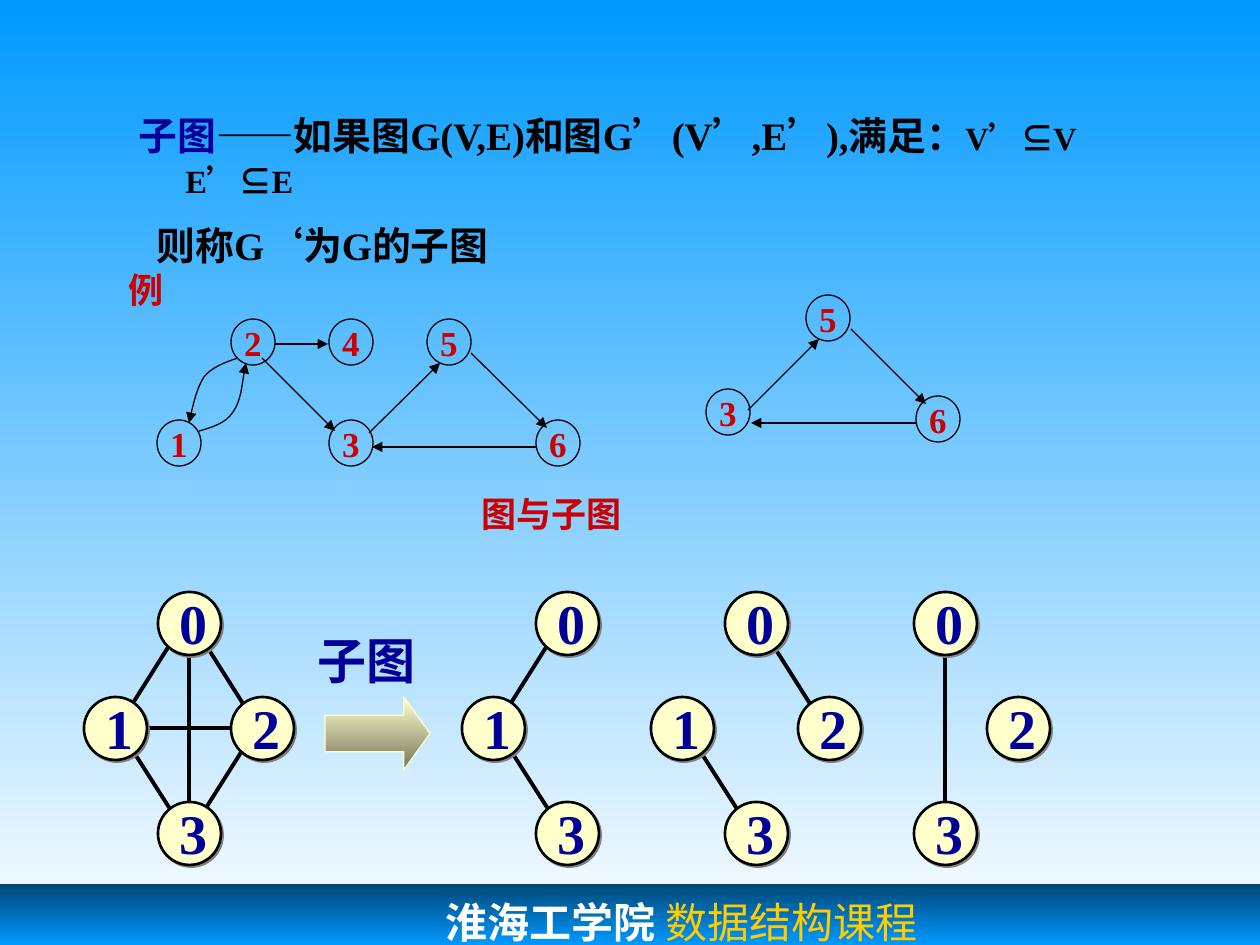
from lxml.etree import SubElement
from pptx import Presentation
from pptx.dml.color import RGBColor
from pptx.enum.shapes import MSO_CONNECTOR as Connector, MSO_SHAPE as Preset
from pptx.enum.text import MSO_ANCHOR as Anchor, PP_ALIGN as Align
from pptx.oxml.ns import qn
from pptx.util import Emu, Pt

SCALE = 914400 / 126
BLACK = RGBColor(0x00, 0x00, 0x00)
WHITE = RGBColor(0xFF, 0xFF, 0xFF)
SKY = RGBColor(0x00, 0x99, 0xFF)
DEEP_BLUE = RGBColor(0x00, 0x47, 0x76)
NAVY = RGBColor(0x00, 0x00, 0x99)
RED = RGBColor(0xCC, 0x00, 0x00)
CREAM = RGBColor(0xFF, 0xFF, 0xCC)
OLIVE = RGBColor(0x76, 0x76, 0x5E)
GOLD = RGBColor(0xFF, 0xCC, 0x00)
GRAY = RGBColor(0x80, 0x80, 0x80)

DIAMOND = {"0": (0, 0), "1": (-74, 105), "2": (73, 105), "3": (0, 210)}
EDGES = {
    "23": (63, 111, 10, 195),
    "01": (-10, 6, -63, 90),
    "13": (-63, 116, -10, 199),
    "02": (10, 10, 63, 94),
    "12": (-53, 104, 63, 104),
    "03": (0, 21, 0, 205),
}
FIGURES = [
    (189, "0123", ["23", "01", "13", "02", "12", "03"]),
    (567, "013", ["01", "13"]),
    (756, "0123", ["13", "02"]),
    (945, "023", ["03"]),
]
DIGRAPH_NODES = [
    ("3", 706, 389), ("5", 806, 295), ("6", 916, 396),
    ("2", 231, 319), ("4", 329, 319), ("5", 427, 319),
    ("1", 157, 420), ("3", 329, 420), ("6", 536, 420),
]
DIGRAPH_ARROWS = [
    (917, 423, 751, 423), (748, 410, 819, 339), (851, 329, 926, 404),
    (275, 344, 328, 344), (262, 358, 335, 431), (537, 447, 372, 447),
    (369, 433, 440, 363), (471, 353, 547, 428),
]
DIGRAPH_CURVES = [
    [(238, 358), (226, 362), (212, 367), (204, 377), (197, 388), (190, 417), (189, 423)],
    [(199, 431), (213, 427), (226, 423), (233, 412), (241, 401), (244, 369), (246, 363)],
]


def px(*lengths):
    """Turn pixel lengths into EMU."""
    return [Emu(round(length * SCALE)) for length in lengths]


def add_run(paragraph, text, size=20, color=RED, font="Times New Roman", bold=True):
    """Append one formatted run to a paragraph."""
    run = paragraph.add_run()
    run.text = text
    run.font.size = Pt(size)
    run.font.name = font
    run.font.bold = bold
    run.font.color.rgb = color


def add_text(slide, text, box, align=Align.LEFT, anchor=Anchor.TOP, **style):
    """Add an unwrapped one-line text box."""
    frame = slide.shapes.add_textbox(*px(*box)).text_frame
    frame.word_wrap = False
    frame.vertical_anchor = anchor
    frame.paragraphs[0].alignment = align
    add_run(frame.paragraphs[0], text, **style)


def set_gradient(fill, first, last):
    """Fill from top to bottom with two colours."""
    fill.gradient()
    fill.gradient_angle = 270
    for stop, color in zip(fill.gradient_stops, (first, last)):
        stop.color.rgb = color


def add_shape(slide, preset, box, line=None, width=0.75):
    """Add an unfilled preset shape without a shadow."""
    shape = slide.shapes.add_shape(preset, *px(*box))
    shape.shadow.inherit = False
    shape.fill.background()
    if line is None:
        shape.line.fill.background()
    else:
        shape.line.color.rgb = line
        shape.line.width = Pt(width)
    return shape


def add_arrowhead(shape):
    """Put a triangle at the end of a line."""
    SubElement(shape.line._get_or_add_ln(), qn("a:tailEnd"), type="triangle")


def add_line(slide, ends, width=0.75, arrow=False):
    """Add a straight black line, with an arrowhead if asked."""
    line = slide.shapes.add_connector(Connector.STRAIGHT, *px(*ends))
    line.line.color.rgb = BLACK
    line.line.width = Pt(width)
    SubElement(line._element.spPr, qn("a:effectLst"))
    if arrow:
        add_arrowhead(line)


def add_curve(slide, points):
    """Add a curved arrow through cubic Bezier points."""
    builder = slide.shapes.build_freeform(*points[0], scale=SCALE)
    builder.add_line_segments(points[1:], close=False)
    shape = builder.convert_to_shape()
    shape.shadow.inherit = False
    shape.fill.background()
    shape.line.color.rgb = BLACK
    shape.line.width = Pt(0.75)
    add_arrowhead(shape)
    outline = next(shape._element.iter(qn("a:path")))
    segments = outline.findall(qn("a:lnTo"))
    for start in range(0, len(segments), 3):
        bezier = SubElement(outline, qn("a:cubicBezTo"))
        for segment in segments[start:start + 3]:
            bezier.append(segment[0])
            outline.remove(segment)


def add_digraph_node(slide, label, left, top):
    """Add a small outlined circle with its number."""
    frame = add_shape(slide, Preset.OVAL, (left, top, 44, 46), BLACK).text_frame
    frame.word_wrap = False
    frame.vertical_anchor = Anchor.MIDDLE
    frame.paragraphs[0].alignment = Align.CENTER
    add_run(frame.paragraphs[0], label)


def add_disc(slide, x, y):
    """Add a cream disc with a gray shadow."""
    disc = add_shape(slide, Preset.OVAL, (x - 31, y - 32, 63, 63), BLACK, 1.5)
    disc.fill.solid()
    disc.fill.fore_color.rgb = CREAM
    effects = disc._element.spPr.find(qn("a:effectLst"))
    shadow = SubElement(effects, qn("a:outerShdw"), dist=str(Pt(1.4)), dir="2700000")
    SubElement(shadow, qn("a:srgbClr"), val=str(GRAY))


def add_figure(slide, x, nodes, edges, y=624):
    """Add one undirected graph laid out on the diamond."""
    for edge in edges:
        x1, y1, x2, y2 = EDGES[edge]
        add_line(slide, (x + x1, y + y1, x + x2, y + y2), width=2.25)
    places = [(node, x + DIAMOND[node][0], y + DIAMOND[node][1]) for node in nodes]
    for _, left, top in places:
        add_disc(slide, left, top)
    for node, left, top in places:
        add_text(slide, node, (left - 22, top - 42, 54, 81), size=32, color=NAVY)


def add_definition(slide):
    """Add the definition of a subgraph."""
    small = {"size": 18.5, "color": BLACK}
    large = {"size": 22.2, "color": BLACK}
    symbol = {**small, "font": "Arial"}
    frame = slide.shapes.add_textbox(*px(0, 110, 1260, 157)).text_frame
    frame.word_wrap = True
    condition, conclusion = frame.paragraphs[0], frame.add_paragraph()
    for paragraph, margin, indent in ((condition, 173, -47), (conclusion, 144, 0)):
        properties = paragraph._p.get_or_add_pPr()
        properties.set("marL", str(px(margin)[0]))
        properties.set("indent", str(px(indent)[0]))
        paragraph.line_spacing = Pt(24)
    add_run(condition, "子图", **{**large, "color": NAVY})
    add_run(condition, "——如果图G(V,E)和图G’(V’,E’),满足：", **large)
    add_run(condition, "V’", **small)
    add_run(condition, "⊆", **symbol)
    add_run(condition, "V", **small)
    condition.add_line_break()
    add_run(condition, "E’", **small)
    add_run(condition, "⊆", **symbol)
    add_run(condition, "E", **small)
    conclusion.space_before = Pt(15)
    add_run(conclusion, "则称G‘为G的子图", **large)


def add_footer(slide):
    """Add the bar with the school and the course."""
    bar = add_shape(slide, Preset.RECTANGLE, (0, 884, 1260, 122))
    set_gradient(bar.fill, DEEP_BLUE, DEEP_BLUE)
    stops = next(bar._element.iter(qn("a:gsLst")))
    middle = SubElement(stops, qn("a:gs"), pos="50000")
    SubElement(middle, qn("a:srgbClr"), val=str(SKY))
    stops.insert(1, middle)
    frame = bar.text_frame
    frame.vertical_anchor = Anchor.TOP
    frame.margin_left, frame.margin_top = px(446, 13)
    paragraph = frame.paragraphs[0]
    paragraph.alignment = Align.LEFT
    add_run(paragraph, "淮海工学院", size=24, color=WHITE, font="Courier New")
    add_run(paragraph, " 数据结构课程", size=24, color=GOLD, bold=False)


def main():
    """Build the slide and save it."""
    presentation = Presentation()
    presentation.slide_width, presentation.slide_height = px(1260, 945)
    slide = presentation.slides.add_slide(presentation.slide_layouts[6])
    set_gradient(slide.background.fill, SKY, WHITE)
    add_footer(slide)
    add_definition(slide)
    for x, nodes, edges in FIGURES:
        add_figure(slide, x, nodes, edges)
    arrow = add_shape(slide, Preset.RIGHT_ARROW, (325, 697, 105, 73), CREAM)
    arrow.adjustments[1] = 0.36
    set_gradient(arrow.fill, CREAM, OLIVE)
    add_text(slide, "子图", (305, 624, 132, 72), size=28, color=NAVY)
    for label, left, top in DIGRAPH_NODES:
        add_digraph_node(slide, label, left, top)
    for ends in DIGRAPH_ARROWS:
        add_line(slide, ends, arrow=True)
    for points in DIGRAPH_CURVES:
        add_curve(slide, points)
    add_text(slide, "例", (114, 262, 64, 55), align=Align.CENTER, anchor=Anchor.MIDDLE)
    add_text(slide, "图与子图", (469, 486, 178, 55))
    presentation.save("out.pptx")


if __name__ == "__main__":
    main()
